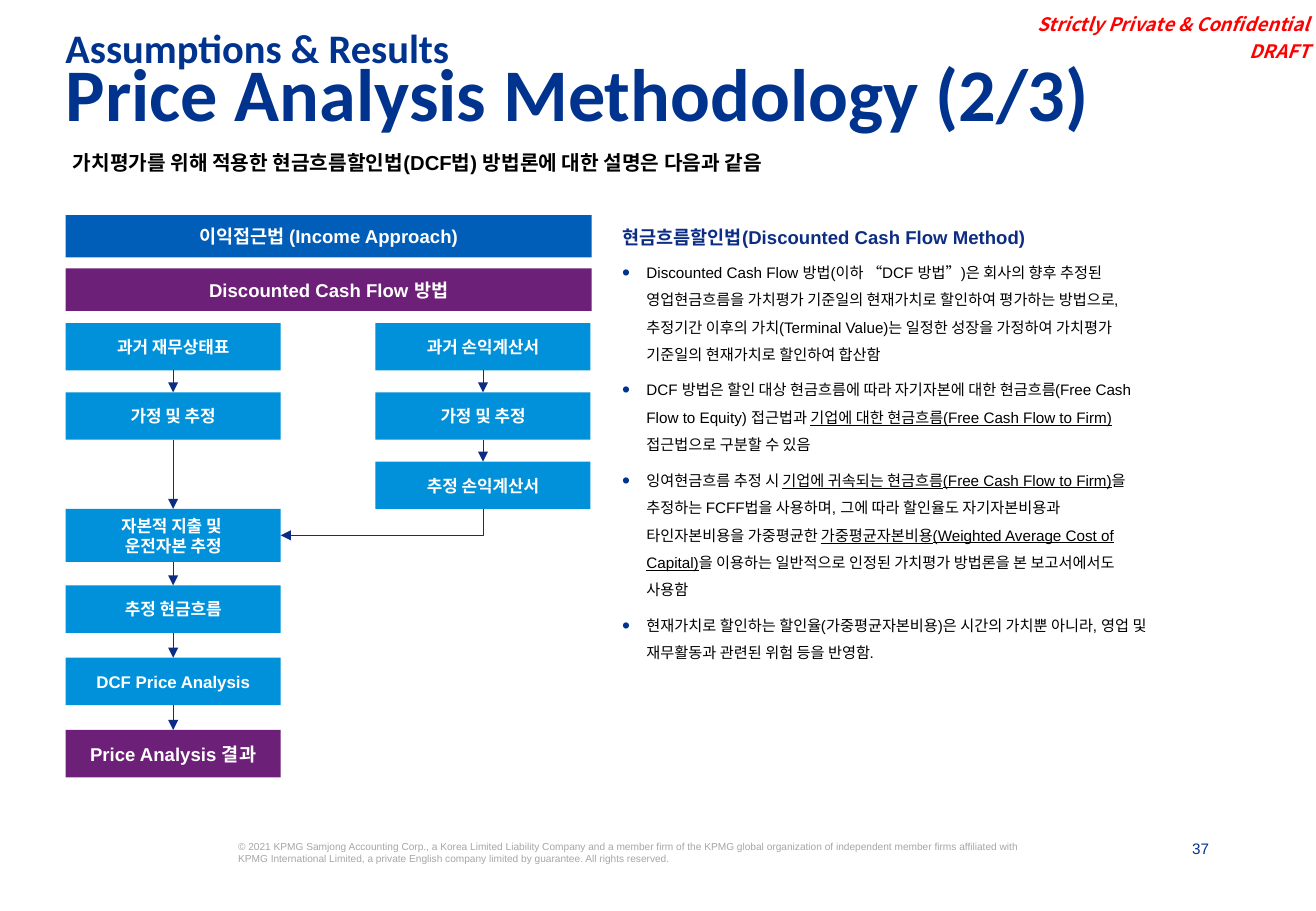
from lxml.etree import SubElement
from pptx import Presentation
from pptx.dml.color import RGBColor
from pptx.enum.shapes import MSO_CONNECTOR as Connector, MSO_SHAPE as Shape
from pptx.enum.text import MSO_ANCHOR as Anchor, MSO_AUTO_SIZE as AutoSize, PP_ALIGN as Align
from pptx.oxml.ns import qn
from pptx.util import Inches, Pt

NAVY, INK, BLUE, SKY, PURPLE = "00338D", "0C2D83", "005EB8", "0091DA", "6D2077"
WHITE, BLACK, RED, GREY = "FFFFFF", "000000", "FF0000", "A6A6A6"
COLUMNS, ROWS = 108.3, 75
LEFT, RIGHT, NOTES = 5.4, 30.9, 51.2
BOX_WIDTH, BOX_HEIGHT, WIDE = 17.7, 3.9, 43.3
INSETS = (0.1, 0.05, 0.1, 0.05)
FLUSH = (0, 0, 0, 0)

METHOD_NOTES = [
    "Discounted Cash Flow 방법(이하 “DCF 방법”)은 회사의 향후 추정된 영업현금흐름을 가치평가 기준일의 "
    "현재가치로 할인하여 평가하는 방법으로, 추정기간 이후의 가치(Terminal Value)는 일정한 성장을 가정하여 "
    "가치평가 기준일의 현재가치로 할인하여 합산함",
    "DCF 방법은 할인 대상 현금흐름에 따라 자기자본에 대한 현금흐름(Free Cash Flow to Equity) 접근법과 "
    "_기업에 대한 현금흐름(Free Cash Flow to Firm)_ 접근법으로 구분할 수 있음",
    "잉여현금흐름 추정 시 _기업에 귀속되는 현금흐름(Free Cash Flow to Firm)_을 추정하는 FCFF법을 사용하며, "
    "그에 따라 할인율도 자기자본비용과 타인자본비용을 가중평균한 "
    "_가중평균자본비용(Weighted Average Cost of Capital)_을 이용하는 일반적으로 인정된 가치평가 방법론을 "
    "본 보고서에서도 사용함",
    "현재가치로 할인하는 할인율(가중평균자본비용)은 시간의 가치뿐 아니라, 영업 및 재무활동과 관련된 위험 등을 반영함.",
]
COPYRIGHT = (
    "© 2021 KPMG Samjong Accounting Corp., a Korea Limited Liability Company and a member firm of the KPMG "
    "global organization of independent member firms affiliated with KPMG International Limited, a private "
    "English company limited by guarantee. All rights reserved."
)


def color(value):
    """Turn a hex string into a colour."""
    return RGBColor.from_string(value)


def grid(cells):
    """Turn grid cells of a tenth of an inch into a length."""
    return Inches(cells / 10)


class SlideBuilder:
    """Holds the style and the current slide."""

    def __init__(self, presentation):
        """Add a slide with title and body placeholders."""
        self.slide = presentation.slides.add_slide(presentation.slide_layouts[1])
        self.shapes = self.slide.shapes
        self.east_asian_font = "Noto Sans CJK KR"

    def typeset(self, shape, lines, size, fill, font="Arial", bold=False, italic=False, align=Align.LEFT,
                anchor=Anchor.TOP, insets=INSETS, spacing=1.0, before=0, bullet=False):
        """Fill a shape with paragraphs, underlining what stands between underscores."""
        frame = shape.text_frame
        frame.word_wrap, frame.auto_size, frame.vertical_anchor = True, AutoSize.NONE, anchor
        (frame.margin_left, frame.margin_top,
         frame.margin_right, frame.margin_bottom) = map(Inches, insets)
        for index, line in enumerate(lines):
            paragraph = frame.add_paragraph() if index else frame.paragraphs[0]
            parts = line.split("_")
            paragraph.text = parts[0]
            for part in parts[1:]:
                paragraph.add_run().text = part
            if bullet:
                self.add_bullet(paragraph)
            paragraph.alignment, paragraph.line_spacing = align, spacing
            paragraph.space_before = Pt(before if index else 0)
            for line_break in paragraph._p.iter(qn("a:br")):
                SubElement(line_break, qn("a:rPr"), sz=str(size * 100))
            for position, run in enumerate(paragraph.runs):
                run.font.size, run.font.name = Pt(size), font
                run.font.bold, run.font.italic = bold, italic
                run.font.color.rgb = color(fill)
                if len(parts) > 1 and position % 2:
                    run.font.underline = True
                SubElement(run.font._element, qn("a:ea"), typeface=self.east_asian_font)

    def add_bullet(self, paragraph):
        """Give a paragraph a hanging round bullet."""
        properties = paragraph._p.get_or_add_pPr()
        properties.set("marL", str(grid(2)))
        properties.set("indent", str(-grid(2)))
        SubElement(SubElement(properties, qn("a:buClr")), qn("a:srgbClr"), val=NAVY)
        SubElement(properties, qn("a:buSzPct"), val="150000")
        SubElement(properties, qn("a:buFont"), typeface="Arial")
        SubElement(properties, qn("a:buChar"), char="•")

    def placeholder(self, index, area, lines, size, fill, **style):
        """Move a placeholder and fill it."""
        shape = self.slide.placeholders[index]
        shape.left, shape.top, shape.width, shape.height = map(grid, area)
        self.typeset(shape, lines, size, fill, **style)

    def text(self, area, lines, size, fill, **style):
        """Add a text box."""
        self.typeset(self.shapes.add_textbox(*map(grid, area)), lines, size, fill, **style)

    def box(self, area, label, fill=SKY, size=10):
        """Add a filled rectangle with a centred label."""
        shape = self.shapes.add_shape(Shape.RECTANGLE, *map(grid, area))
        shape.shadow.inherit = False
        shape.fill.solid()
        shape.fill.fore_color.rgb = color(fill)
        shape.line.fill.background()
        self.typeset(shape, [label], size, WHITE, bold=True, align=Align.CENTER, anchor=Anchor.MIDDLE)
        return shape

    def arrow(self, start, end, kind=Connector.STRAIGHT, end_side=0):
        """Join the bottom of one box to a side of another."""
        connector = self.shapes.add_connector(kind, 0, 0, 0, 0)
        connector.begin_connect(start, 2)
        connector.end_connect(end, end_side)
        connector.line.color.rgb = color(INK)
        connector.line.width = Pt(0.5)
        SubElement(connector.line._get_or_add_ln(), qn("a:tailEnd"), type="triangle")
        SubElement(connector._element.spPr, qn("a:effectLst"))
        return connector

    def corner_arrow(self, start, end):
        """Lead from the bottom of a box down and left into another box."""
        connector = self.arrow(start, end, Connector.ELBOW, 3)
        begin_x, begin_y = start.left + start.width // 2, start.top + start.height
        end_x, end_y = end.left + end.width, end.top + end.height // 2
        across, down = begin_x - end_x, end_y - begin_y
        properties = connector._element.spPr
        transform = properties.find(qn("a:xfrm"))
        for flip in ("flipH", "flipV"):
            transform.attrib.pop(flip, None)
        transform.set("rot", "5400000")
        properties.find(qn("a:prstGeom")).set("prst", "bentConnector2")
        connector.left = (begin_x + end_x - down) // 2
        connector.top = (begin_y + end_y - across) // 2
        connector.width, connector.height = down, across

    def flow(self, left, steps):
        """Stack boxes in a column and join each to the next."""
        boxes = [self.box((left, top, BOX_WIDTH, height), label, *style)
                 for top, height, label, *style in steps]
        for start, end in zip(boxes, boxes[1:]):
            self.arrow(start, end)
        return boxes


def main():
    """Build the slide and save it."""
    presentation = Presentation()
    presentation.slide_width, presentation.slide_height = grid(COLUMNS), grid(ROWS)
    builder = SlideBuilder(presentation)

    builder.text((83.2, 0, 25, 5.5), ["Strictly Private & Confidential", "DRAFT"], 11, RED,
                 font="Noto Sans CJK KR", bold=True, italic=True, align=Align.RIGHT,
                 anchor=Anchor.BOTTOM, insets=(0, 0.04, 0.04, 0.04), before=2.5)
    heading = dict(font="Calibri", bold=True, spacing=0.7)
    builder.text((4.4, 2.5, 94, 3), ["Assumptions & Results"], 24, NAVY, **heading)
    builder.placeholder(0, (4.4, 5.4, 94, 6.4), ["Price Analysis Methodology (2/3)"], 44, NAVY, **heading)
    builder.text((6, 12, 96.1, 5.4), ["가치평가를 위해 적용한 현금흐름할인법(DCF법) 방법론에 대한 설명은 다음과 같음"],
                 12, BLACK, bold=True, align=Align.JUSTIFY, insets=FLUSH, spacing=1.2)

    builder.box((LEFT, 17.7, WIDE, 3.5), "이익접근법 (Income Approach)", BLUE, 11)
    builder.box((LEFT, 22.1, WIDE, 3.5), "Discounted Cash Flow 방법", PURPLE, 11)
    upper = [26.6 + 5.7 * step for step in range(3)]
    lower = [48.2 + 5.95 * step for step in range(3)]
    balance = builder.flow(LEFT, [
        (upper[0], BOX_HEIGHT, "과거 재무상태표"),
        (upper[1], BOX_HEIGHT, "가정 및 추정"),
        (upper[2] + BOX_HEIGHT, 4.35, "자본적 지출 및 \n운전자본 추정"),
        (lower[0], BOX_HEIGHT, "추정 현금흐름"),
        (lower[1], BOX_HEIGHT, "DCF Price Analysis"),
        (lower[2], BOX_HEIGHT, "Price Analysis 결과", PURPLE, 11),
    ])
    income_labels = ["과거 손익계산서", "가정 및 추정", "추정 손익계산서"]
    income = builder.flow(RIGHT, [(top, BOX_HEIGHT, label) for top, label in zip(upper, income_labels)])
    builder.corner_arrow(income[2], balance[2])

    builder.text((NOTES, 17.7, 54.9, 2.4), ["현금흐름할인법(Discounted Cash Flow Method)"], 11, INK,
                 bold=True, insets=FLUSH, spacing=1.5)
    builder.placeholder(1, (NOTES, 20.9, WIDE, 33.8), METHOD_NOTES, 9, BLACK,
                        insets=FLUSH, spacing=1.5, before=4.8, bullet=True)
    builder.text((19.6, 69.2, 65.3, 5), [COPYRIGHT], 6, GREY, insets=FLUSH)
    builder.text((95.2, 69.1, 4.3, 1.6), ["37"], 9, NAVY, align=Align.RIGHT, insets=FLUSH)
    presentation.save("out.pptx")


if __name__ == "__main__":
    main()
